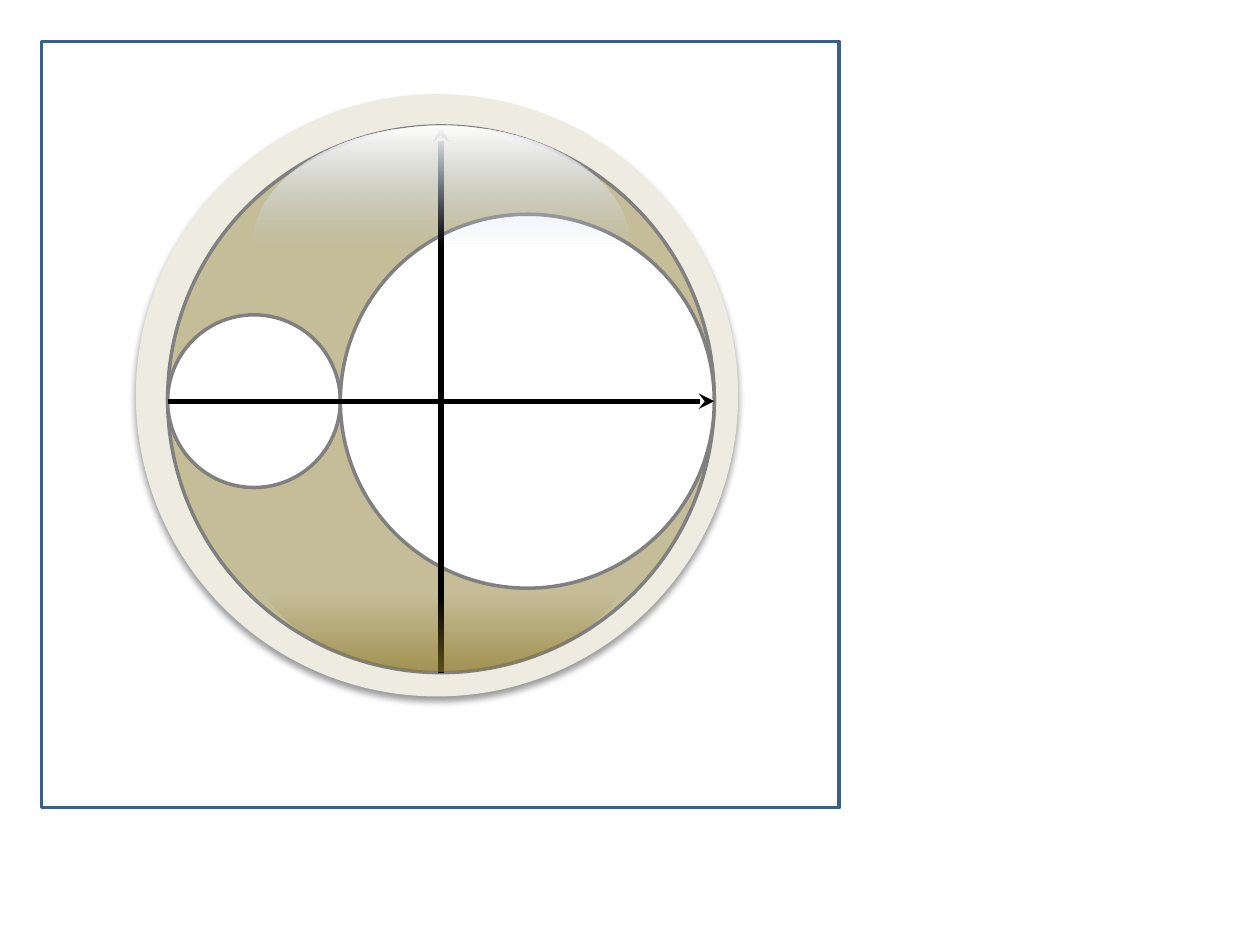
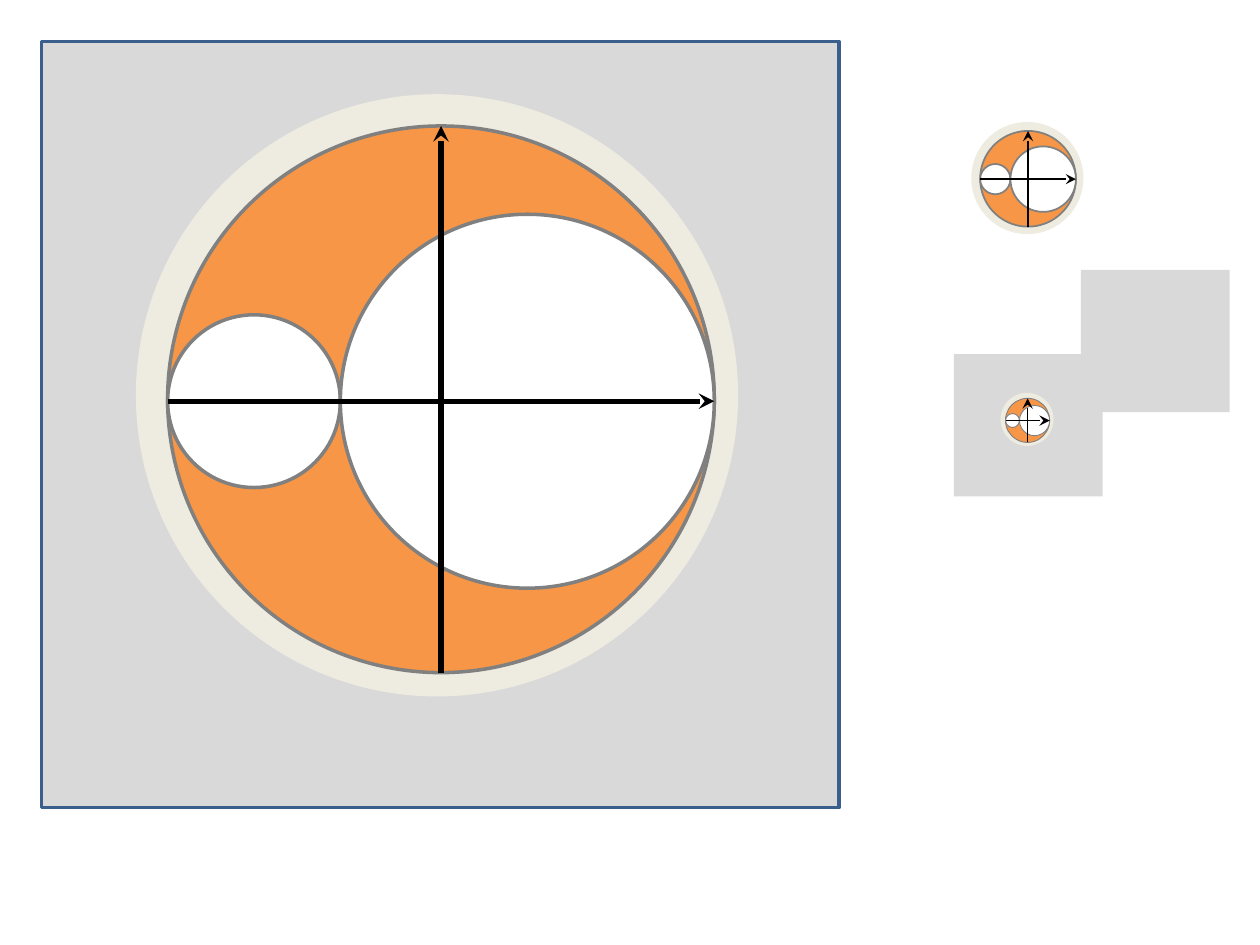
"""Build two slides with a disc emblem: a glossy version and a flat version with small copies."""
from lxml import etree
from pptx import Presentation
from pptx.dml.color import RGBColor
from pptx.enum.shapes import MSO_CONNECTOR, MSO_SHAPE
from pptx.oxml.ns import nsdecls, qn
from pptx.oxml import parse_xml
from pptx.util import Cm, Pt

COLORS = {
    "white": "FFFFFF", "grey": "D9D9D9", "ring": "EEECE1", "sand": "C4BD97",
    "orange": "F79646", "outline": "808080", "frame": "3A5F8C", "black": "000000",
    "haze": "C2D1ED", "mist": "E1E8F5", "bronze": "907B2C",
}

FRAME = (0.84, 0.84, 16.08, 15.44)
TILE_SIZE = (3.0, 2.87)
TILES = {"upper": (21.79, 5.44), "lower": (19.23, 7.14)}

# Each emblem: ring and disc as (left, top, diameter), then line widths in points.
EMBLEMS = {
    "large": {"ring": (2.74, 1.9, 12.14), "disc": (3.38, 2.54, 11.02), "outline": 2, "axis": 3},
    "medium": {"ring": (19.58, 2.46, 2.26), "disc": (19.76, 2.64, 1.93), "outline": 1, "axis": 1},
    "small": {"ring": (20.17, 7.92, 1.07), "disc": (20.27, 8.03, 0.89), "outline": 0.5, "axis": 0.5},
}
SMALL_SHARE = 0.316
AXIS_DROP = 0.0035

# Each glow: box, rotation, and gradient stops as (position, colour, opacity) in percent.
GLOWS = [
    ((5.08, 2.54, 7.62, 4.88), 0, [(0, "white", 100), (50, "haze", 0), (100, "mist", 0)]),
    ((5.08, 8.66, 7.62, 4.88), 180, [(0, "bronze", 64), (32, "bronze", 0), (100, "mist", 0)]),
]


def rgb(name):
    return RGBColor.from_string(COLORS[name])


def add_box(shapes, kind, box, fill=None, line=None, width=1):
    sp = shapes.add_shape(kind, *(Cm(v) for v in box))
    sp.shadow.inherit = False
    if fill:
        sp.fill.solid()
        sp.fill.fore_color.rgb = rgb(fill)
    else:
        sp.fill.background()
    if line:
        sp.line.color.rgb = rgb(line)
        sp.line.width = Pt(width)
    else:
        sp.line.fill.background()
    return sp


def add_circle(shapes, left, top, size, fill, **style):
    return add_box(shapes, MSO_SHAPE.OVAL, (left, top, size, size), fill, **style)


def add_tile(shapes, name):
    add_box(shapes, MSO_SHAPE.RECTANGLE, TILES[name] + TILE_SIZE, "grey")


def add_axis(shapes, start, end, width):
    cn = shapes.add_connector(MSO_CONNECTOR.STRAIGHT, *(Cm(v) for v in start + end))
    cn.line.color.rgb = rgb("black")
    cn.line.width = Pt(width)
    etree.SubElement(cn.line._get_or_add_ln(), qn("a:tailEnd"), type="stealth")
    etree.SubElement(cn._element.spPr, qn("a:effectLst"))


def add_disc(shapes, emblem, fill):
    left, top, size = emblem["disc"]
    small = size * SMALL_SHARE
    large = size - small
    mid_x = left + size / 2
    mid_y = top + size * (0.5 + AXIS_DROP)
    style = {"line": "outline", "width": emblem["outline"]}
    add_circle(shapes, left, top, size, fill, **style)
    add_circle(shapes, left, mid_y - small / 2, small, "white", **style)
    add_circle(shapes, left + small, mid_y - large / 2, large, "white", **style)
    add_axis(shapes, (left, mid_y), (left + size, mid_y), emblem["axis"])
    add_axis(shapes, (mid_x, top + size), (mid_x, top), emblem["axis"])


def add_drop_shadow(sp):
    effects = sp._element.spPr.find(qn("a:effectLst"))
    effects.append(parse_xml(
        f'<a:outerShdw {nsdecls("a")} blurRad="{Pt(4)}" dist="{Pt(3)}" dir="5400000" '
        f'algn="t" rotWithShape="0"><a:srgbClr val="{COLORS["black"]}">'
        '<a:alpha val="40000"/></a:srgbClr></a:outerShdw>'))


def add_glow(shapes, box, rotation, stops):
    sp = add_box(shapes, MSO_SHAPE.OVAL, box)
    sp.rotation = rotation
    marks = "".join(
        f'<a:gs pos="{pos * 1000}"><a:srgbClr val="{COLORS[color]}">'
        f'<a:alpha val="{opacity * 1000}"/></a:srgbClr></a:gs>'
        for pos, color, opacity in stops)
    grad = parse_xml(
        f'<a:gradFill {nsdecls("a")} rotWithShape="1"><a:gsLst>{marks}</a:gsLst>'
        '<a:lin ang="5400000" scaled="0"/></a:gradFill>')
    spPr = sp._element.spPr
    spPr.replace(spPr.find(qn("a:noFill")), grad)


def add_framed_ring(shapes, fill):
    add_box(shapes, MSO_SHAPE.RECTANGLE, FRAME, fill, line="frame", width=2)
    return add_circle(shapes, *EMBLEMS["large"]["ring"], "ring")


def build_glossy(s):
    ring = add_framed_ring(s.shapes, "white")
    add_drop_shadow(ring)
    add_disc(s.shapes, EMBLEMS["large"], "sand")
    for glow in GLOWS:
        add_glow(s.shapes, *glow)


def build_flat(s):
    group = s.shapes.add_group_shape()
    add_framed_ring(group.shapes, "grey")
    add_disc(group.shapes, EMBLEMS["large"], "orange")
    for tile, name in (("upper", "medium"), ("lower", "small")):
        add_tile(s.shapes, tile)
        add_circle(s.shapes, *EMBLEMS[name]["ring"], "ring")
        add_disc(s.shapes.add_group_shape().shapes, EMBLEMS[name], "orange")


def main():
    prs = Presentation()
    prs.slide_width, prs.slide_height = Cm(25.4), Cm(19.05)
    for build in (build_glossy, build_flat):
        build(prs.slides.add_slide(prs.slide_layouts[6]))
    prs.save("out.pptx")


if __name__ == "__main__":
    main()
